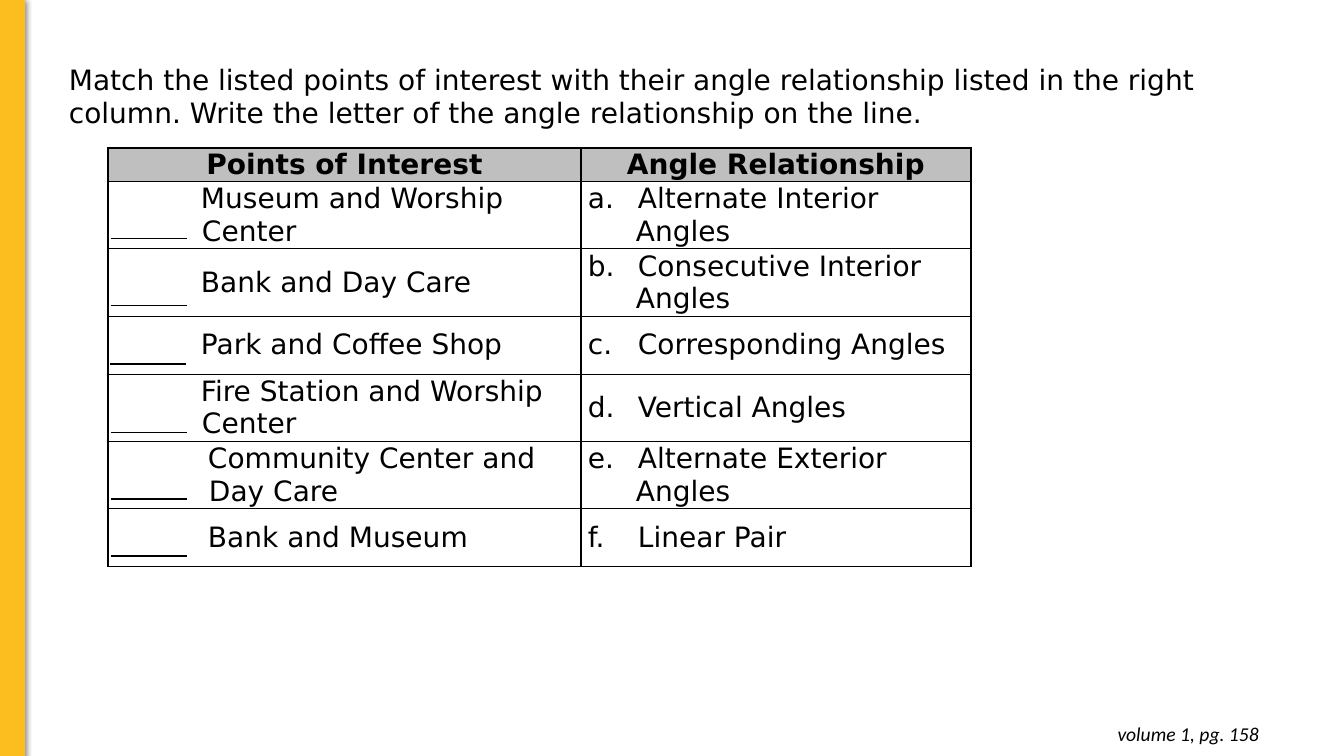
import pptx
import pptx.dml.color
import pptx.enum.shapes
import pptx.enum.text
import pptx.oxml
import pptx.oxml.ns
import pptx.util

# Content
INSTRUCTIONS = ("Match the listed points of interest with their angle relationship listed "
                "in the right column. Write the letter of the angle relationship on the line.")
PAGE_REFERENCE = "volume 1, pg. 158"
HEADINGS = ("Points of Interest", "Angle Relationship")
# Place, its indent, lines of the angle relationship, left and top of the answer line
MATCHES = [
    ("Museum and Worship Center", 86, ("Alternate Interior", "Angles"), 111, 239),
    ("Bank and Day Care", 86, ("Consecutive Interior", "Angles"), 111, 306),
    ("Park and Coffee Shop", 86, ("Corresponding Angles",), 110, 364),
    ("Fire Station and Worship Center", 86, ("Vertical Angles",), 111, 433),
    ("Community Center and Day Care", 93, ("Alternate Exterior", "Angles"), 111, 499),
    ("Bank and Museum", 93, ("Linear Pair",), 111, 556),
]
COLUMN_WIDTHS = (473, 390)
HEADER_HEIGHT, ROW_HEIGHT = 22, 58
ANSWER_WIDTH = 76
BLACK, GOLD, GREY = "000000", "FCBD1E", "BFBFBF"
BODY_FONT = "DejaVu Sans"
ALIGN = pptx.enum.text.PP_ALIGN
NAMESPACE = pptx.oxml.ns.nsdecls("a")


def px(length):
    return pptx.util.Emu(round(length * 914400 / 100.8))


def color(value):
    return pptx.dml.color.RGBColor.from_string(value)


def add_xml(parent, xml):
    parent.append(pptx.oxml.parse_xml(xml))


def style(paragraph, size=20, name=BODY_FONT, bold=False, italic=False, align=ALIGN.LEFT):
    paragraph.alignment = align
    for run in paragraph.runs:
        font = run.font
        font.size, font.name = pptx.util.Pt(size), name
        font.bold, font.italic = bold, italic
        font.color.rgb = color(BLACK)


def indent(paragraph, margin, first=0):
    properties = paragraph._p.get_or_add_pPr()
    properties.set("marL", str(px(margin)))
    properties.set("indent", str(px(first)))
    return properties


def add_text(slide, box, text, inset, **look):
    frame = slide.shapes.add_textbox(*map(px, box)).text_frame
    frame.word_wrap = True
    frame.margin_top = frame.margin_bottom = px(inset)
    frame.text = text
    style(frame.paragraphs[0], **look)


def prepare_cell(cell, fill=None):
    cell.margin_left = cell.margin_right = px(7)
    cell.margin_top = cell.margin_bottom = 0
    cell.vertical_anchor = pptx.enum.text.MSO_ANCHOR.MIDDLE
    properties = cell._tc.get_or_add_tcPr()
    for side in "LRTB":
        add_xml(properties, f'<a:ln{side} {NAMESPACE} w="12700"><a:solidFill>'
                            f'<a:srgbClr val="{BLACK}"/></a:solidFill></a:ln{side}>')
    if fill:
        cell.fill.solid()
        cell.fill.fore_color.rgb = color(fill)
    else:
        cell.fill.background()


presentation = pptx.Presentation()
presentation.slide_width, presentation.slide_height = px(1344), px(756)
slide = presentation.slides.add_slide(presentation.slide_layouts[6])

# Page reference and instructions
add_text(slide, (979, 712, 290, 44), PAGE_REFERENCE, 10,
         size=14, name="Calibri", italic=True, align=ALIGN.RIGHT)
add_text(slide, (59, 57, 1210, 78), INSTRUCTIONS, 5)

# Gold side bar with a soft shadow
bar = slide.shapes.add_shape(pptx.enum.shapes.MSO_SHAPE.RECTANGLE,
                             *map(px, (0, -1, 25, 757)))
bar.fill.solid()
bar.fill.fore_color.rgb = color(GOLD)
bar.line.color.rgb = color(GOLD)
bar.line.width = pptx.util.Pt(0.75)
add_xml(bar._element.spPr,
        f'<a:effectLst {NAMESPACE}><a:outerShdw blurRad="57150" dist="19050" dir="5400000" '
        f'algn="bl" rotWithShape="0"><a:srgbClr val="{BLACK}"><a:alpha val="50000"/>'
        '</a:srgbClr></a:outerShdw></a:effectLst>')

# Matching table
table_height = HEADER_HEIGHT + len(MATCHES) * ROW_HEIGHT
table = slide.shapes.add_table(len(MATCHES) + 1, 2, px(108), px(148),
                               px(sum(COLUMN_WIDTHS)), px(table_height)).table
table.first_row = table.horz_banding = False
for column, width in zip(table.columns, COLUMN_WIDTHS):
    column.width = px(width)
for index, row in enumerate(table.rows):
    row.height = px(ROW_HEIGHT if index else HEADER_HEIGHT)
    for cell in row.cells:
        prepare_cell(cell, None if index else GREY)

for cell, heading in zip(table.rows[0].cells, HEADINGS):
    cell.text_frame.text = heading
    style(cell.text_frame.paragraphs[0], bold=True, align=ALIGN.CENTER)

for number, (place, place_indent, angle_lines, left, top) in enumerate(MATCHES, 1):
    place_frame = table.cell(number, 0).text_frame
    place_frame.text = place
    indent(place_frame.paragraphs[0], place_indent + 1, -1)
    style(place_frame.paragraphs[0])

    angle_frame = table.cell(number, 1).text_frame
    angle_frame.text = "\n".join(angle_lines)
    lettered, *continued = angle_frame.paragraphs
    properties = indent(lettered, 50, -50)
    add_xml(properties, f'<a:buClr {NAMESPACE}><a:srgbClr val="{BLACK}"/></a:buClr>')
    add_xml(properties, f'<a:buFont {NAMESPACE} typeface="{BODY_FONT}"/>')
    add_xml(properties, f'<a:buAutoNum {NAMESPACE} type="alphaLcPeriod" startAt="{number}"/>')
    for paragraph in continued:
        indent(paragraph, 48)
    for paragraph in angle_frame.paragraphs:
        style(paragraph)

    # Line for the answer letter
    answer = slide.shapes.add_connector(pptx.enum.shapes.MSO_CONNECTOR.STRAIGHT,
                                        px(left), px(top), px(left + ANSWER_WIDTH), px(top))
    answer.line.color.rgb = color(BLACK)
    answer.line.width = pptx.util.Pt(0.75)
    add_xml(answer._element.spPr, f"<a:effectLst {NAMESPACE}/>")

presentation.save("out.pptx")
